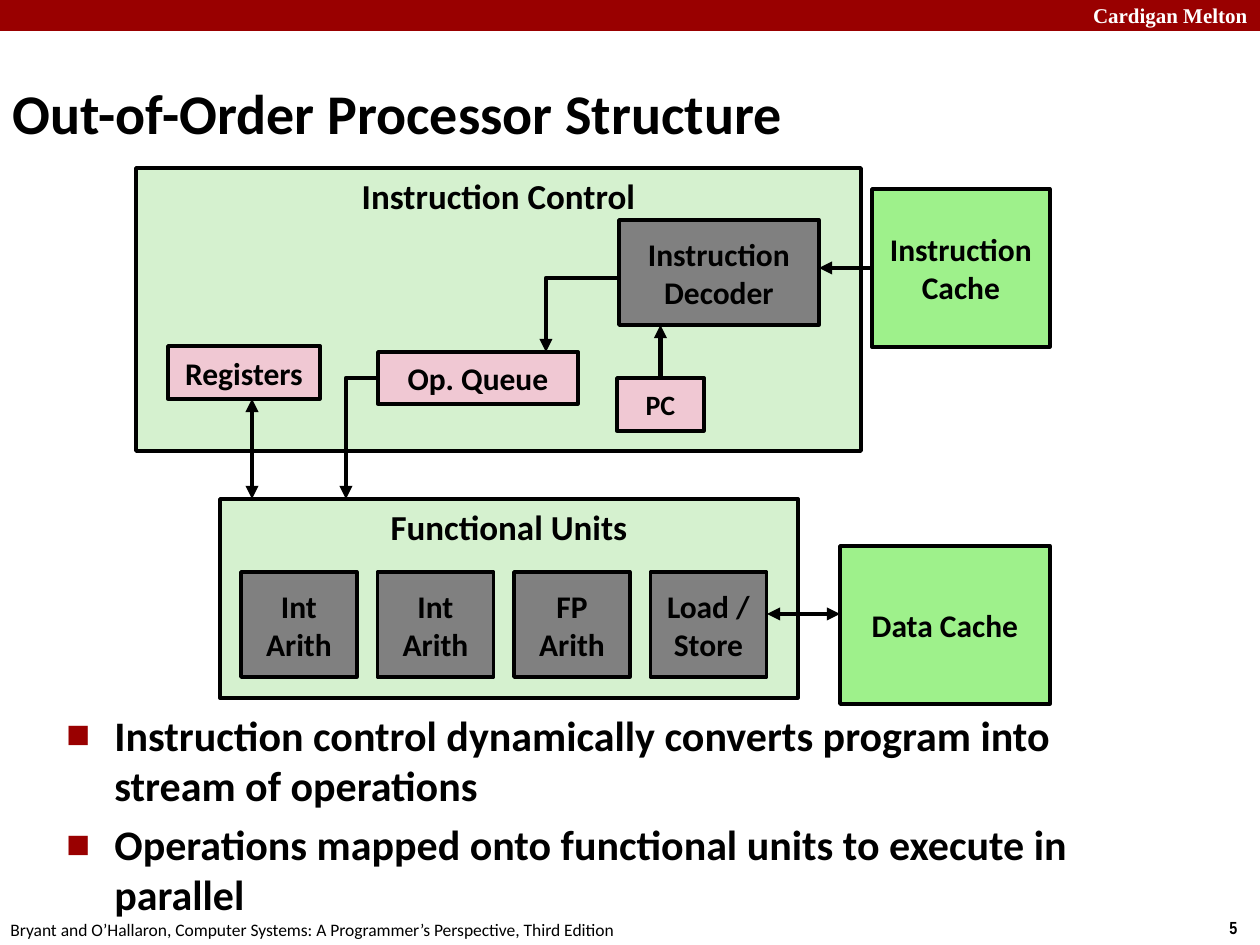
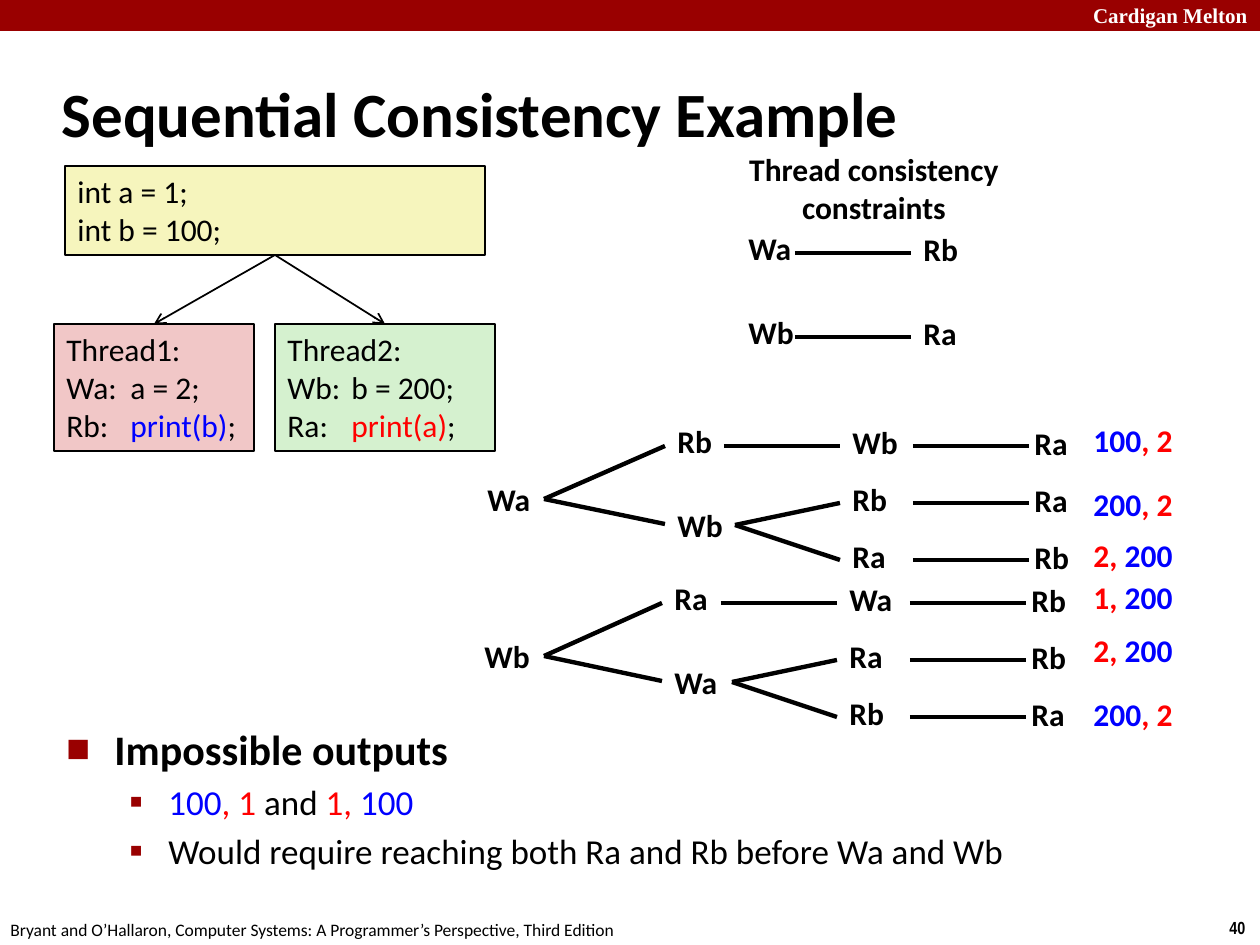
from lxml import etree
from pptx import Presentation
from pptx.dml.color import RGBColor
from pptx.enum.shapes import MSO_CONNECTOR, MSO_SHAPE
from pptx.enum.text import MSO_ANCHOR, MSO_AUTO_SIZE, PP_ALIGN
from pptx.oxml.ns import qn
from pptx.util import Emu, Pt

RECTANGLE = MSO_SHAPE.RECTANGLE
STRAIGHT, ELBOW = MSO_CONNECTOR.STRAIGHT, MSO_CONNECTOR.ELBOW
TOP, MIDDLE = MSO_ANCHOR.TOP, MSO_ANCHOR.MIDDLE
LEFT, CENTER, RIGHT = PP_ALIGN.LEFT, PP_ALIGN.CENTER, PP_ALIGN.RIGHT
SIDE_TOP, SIDE_LEFT, SIDE_BOTTOM = 0, 1, 2

EMU_PER_PX = 914400 / 126
PAGE_WIDTH, PAGE_HEIGHT = 1260, 945
TITLE_ONLY = 5
FONT = "Calibri"
COLORS = {
    "black": "000000",
    "white": "FFFFFF",
    "crimson": "990000",
    "blue": "0000FF",
    "red": "FF0000",
    "gray": "808080",
    "mint": "D5F1CF",
    "green": "9EF18B",
    "pink": "F0C8D3",
    "rose": "F1C7C7",
    "cream": "F6F5BD",
}
BULLETS = [
    {"char": "■", "percent": 60, "margin": 48, "hang": 48, "size": 24, "bold": True},
    {"char": "▪", "percent": 110, "margin": 102, "hang": 39, "size": 20, "bold": False},
]
SCHOOL = "Cardigan Melton"
BOOK = ("Bryant and O’Hallaron, Computer Systems: "
        "A Programmer’s Perspective, Third Edition")


def px(length):
    return Emu(round(length * EMU_PER_PX))


def rgb(color):
    return RGBColor.from_string(COLORS[color])


def add_xml(parent, tag, **attributes):
    return etree.SubElement(parent, qn(tag), attributes)


def write_line(para, line, size, bold=False, color="black", font=FONT, align=LEFT):
    para.alignment = align
    spans = [(line, color)] if isinstance(line, str) else line
    for text, span_color in spans:
        span = para.add_run()
        span.text = text
        span.font.name = font
        span.font.size = Pt(size)
        span.font.bold = bold
        span.font.color.rgb = rgb(span_color)


def write_lines(frame, lines, size, **style):
    for index, line in enumerate(lines):
        para = frame.add_paragraph() if index else frame.paragraphs[0]
        write_line(para, line, size, **style)


def add_label(page, bounds, lines, size=18, bold=True, wrap=True, **style):
    box = page.shapes.add_textbox(*map(px, bounds))
    box.text_frame.word_wrap = wrap
    write_lines(box.text_frame, lines, size, bold=bold, **style)
    return box


def add_block(page, bounds, fill, lines=(), size=18, bold=True, anchor=MIDDLE,
              align=CENTER, border=2):
    block = page.shapes.add_shape(RECTANGLE, *map(px, bounds))
    block.shadow.inherit = False
    block.fill.solid()
    block.fill.fore_color.rgb = rgb(fill)
    if border:
        block.line.color.rgb = rgb("black")
        block.line.width = Pt(border)
    else:
        block.line.fill.background()
    block.text_frame.word_wrap = True
    block.text_frame.vertical_anchor = anchor
    write_lines(block.text_frame, lines, size, bold=bold, align=align)
    return block


def add_link(page, start, end, head=None, tail=None, width=2.5, kind=STRAIGHT):
    link = page.shapes.add_connector(kind, *map(px, (*start, *end)))
    link.line.color.rgb = rgb("black")
    link.line.width = Pt(width)
    properties = link._element.spPr
    outline = properties.find(qn("a:ln"))
    for tag, arrow in (("a:headEnd", head), ("a:tailEnd", tail)):
        if arrow:
            add_xml(outline, tag, type=arrow)
    add_xml(properties, "a:effectLst")
    return link


def add_corner_arrow(page, start, end):
    arrow = add_link(page, start, end, tail="triangle", kind=ELBOW)
    arrow._element.spPr.find(qn("a:prstGeom")).set("prst", "bentConnector2")


def add_bullets(page, bounds, items):
    box = page.shapes.add_textbox(*map(px, bounds))
    frame = box.text_frame
    frame.word_wrap = True
    for index, (level, line) in enumerate(items):
        bullet = BULLETS[level]
        para = frame.add_paragraph() if index else frame.paragraphs[0]
        para.level = level
        write_line(para, line, bullet["size"], bold=bullet["bold"])
        para.space_before = Pt(bullet["size"] * 0.2)
        properties = para._p.get_or_add_pPr()
        properties.set("marL", str(px(bullet["margin"])))
        properties.set("indent", str(-px(bullet["hang"])))
        color = add_xml(properties, "a:buClr")
        add_xml(color, "a:srgbClr", val=COLORS["crimson"])
        add_xml(properties, "a:buSzPct", val=str(bullet["percent"] * 1000))
        add_xml(properties, "a:buFont", typeface=FONT)
        add_xml(properties, "a:buChar", char=bullet["char"])


def add_page(deck, title, title_left, title_width, title_size, number):
    page = deck.slides.add_slide(deck.slide_layouts[TITLE_ONLY])
    add_block(page, (0, 0, PAGE_WIDTH, 31), "crimson", border=0)
    add_label(page, (960, -4, 300, 38), [SCHOOL], 12, align=RIGHT,
              color="white", font="Times New Roman")
    add_label(page, (1217, 911, 43, 34), [number], 10, font="Arial Narrow")
    add_label(page, (-2, 913, 700, 32), [BOOK], 10, bold=False)

    heading = page.shapes.title
    heading.left, heading.top = px(title_left), px(60)
    heading.width, heading.height = px(title_width), px(105)
    frame = heading.text_frame
    frame.auto_size = MSO_AUTO_SIZE.NONE
    frame.vertical_anchor = MIDDLE
    write_lines(frame, [title], title_size, bold=True)
    return page


def add_processor_page(deck):
    page = add_page(deck, "Out-of-Order Processor Structure", 0, PAGE_WIDTH, 32, "5")
    add_bullets(page, (54, 703, 1090, 169), [
        (0, "Instruction control dynamically converts program into stream of operations"),
        (0, "Operations mapped onto functional units to execute in parallel"),
    ])

    add_block(page, (220, 499, 578, 199), "mint", ["Functional Units"], 20, anchor=TOP)
    units = [("Int", "Arith"), ("Int", "Arith"), ("FP", "Arith"), ("Load /", "Store")]
    for index, unit in enumerate(units):
        add_block(page, (241 + 136.5 * index, 572, 116, 105), "gray", unit)

    add_block(page, (136, 168, 725, 283), "mint", ["Instruction Control"], 20, anchor=TOP)
    add_block(page, (168, 346, 152, 53), "pink", ["Registers"])
    add_block(page, (619, 220, 200, 105), "gray", ["Instruction Decoder"])
    add_block(page, (378, 352, 200, 52), "pink", ["Op. Queue"])
    counter = add_block(page, (617, 378, 87, 53), "pink", ["PC"], 16)
    add_block(page, (840, 546, 210, 158), "green", ["Data Cache"])
    cache = add_block(page, (872, 189, 178, 158), "green", ["Instruction", "Cache"])

    add_link(page, (840, 614), (767, 614), head="triangle", tail="triangle")
    add_link(page, (252, 399), (252, 499), head="triangle", tail="triangle")
    fetch = add_link(page, (819, 268), (872, 268), head="triangle")
    fetch.end_connect(cache, SIDE_LEFT)
    address = add_link(page, (660.5, 325), (660.5, 378), head="triangle")
    address.end_connect(counter, SIDE_TOP)
    add_corner_arrow(page, (378, 378), (346, 499))
    add_corner_arrow(page, (619, 278), (546, 352))


def add_event(page, left, top, name):
    add_label(page, (left, top, 75, 50), [name])


def add_tree(page, left, top, root, upper, lower, endings):
    pitch = 57
    rows = [top + pitch * index for index in range(len(endings))]
    fork = (544, top + 53)
    lower_fork = (left + 70, top + 79)
    leaf_left = left + 175

    add_event(page, left - 190, top + 28, root)
    add_event(page, left, top - 30, upper)
    add_event(page, left, top + 54, lower)
    add_link(page, fork, (left, top))
    add_link(page, fork, (left, top + 78))
    add_link(page, (left + 59, top), (leaf_left, top))
    for row in rows[1:]:
        add_link(page, lower_fork, (leaf_left, row))
    for row, (third, last) in zip(rows, endings):
        add_event(page, leaf_left, row - 29, third)
        add_event(page, left + 357, row - 28, last)
        add_link(page, (left + 248, row), (left + 364, row))


def add_thread(page, bounds, fill, lines):
    block = add_block(page, bounds, fill, lines, bold=False, anchor=TOP,
                      align=LEFT, border=0.75)
    for para in block.text_frame.paragraphs:
        stops = add_xml(para._p.get_or_add_pPr(), "a:tabLst")
        add_xml(stops, "a:tab", pos=str(px(64)), algn="l")
    return block


def add_consistency_page(deck):
    page = add_page(deck, "Sequential Consistency Example", 49, 1046, 36, "40")
    add_bullets(page, (54, 717, 1089, 169), [
        (0, "Impossible outputs"),
        (1, [("100", "blue"), (", 1 ", "red"), ("and ", "black"),
             ("1, ", "red"), ("100", "blue")]),
        (1, "Would require reaching both Ra and Rb before Wa and Wb"),
    ])

    add_tree(page, 665, 446, "Wa", "Rb", "Wb",
             [("Wb", "Ra"), ("Rb", "Ra"), ("Ra", "Rb")])
    add_tree(page, 662, 603, "Wb", "Ra", "Wa",
             [("Wa", "Rb"), ("Ra", "Rb"), ("Rb", "Ra")])

    outputs = [
        (415, ("100", "blue"), (", 2", "red")),
        (479, ("200", "blue"), (", 2", "red")),
        (530, ("2, ", "red"), ("200", "blue")),
        (572, ("1, ", "red"), ("200", "blue")),
        (625, ("2, ", "red"), ("200", "blue")),
        (689, ("200", "blue"), (", 2", "red")),
    ]
    for top, *spans in outputs:
        add_label(page, (1081, top, 120, 50), [spans])

    add_label(page, (736, 144, 276, 89), ["Thread consistency", "constraints"],
              wrap=False, align=CENTER)
    for top, write, read in ((223, "Wa", "Rb"), (307, "Wb", "Ra")):
        add_event(page, 736, top, write)
        add_event(page, 911, top + 1, read)
        add_link(page, (795, top + 30), (911, top + 30))

    setup = add_block(page, (65, 166, 420, 89), "cream", ["int a = 1;", "int b = 100;"],
                      bold=False, anchor=TOP, align=LEFT, border=0.75)
    threads = [
        add_thread(page, (54, 324, 200, 127), "rose", [
            "Thread1:", "Wa:\ta = 2;",
            [("Rb:\t", "black"), ("print(b)", "blue"), (";", "black")]]),
        add_thread(page, (275, 324, 220, 127), "mint", [
            "Thread2:", "Wb:\tb = 200;",
            [("Ra:\t", "black"), ("print(a)", "red"), (";", "black")]]),
    ]
    for thread in threads:
        arrow = add_link(page, (275, 255), (275, 324), tail="arrow", width=1)
        arrow.begin_connect(setup, SIDE_BOTTOM)
        arrow.end_connect(thread, SIDE_TOP)


def main():
    deck = Presentation()
    deck.slide_width, deck.slide_height = px(PAGE_WIDTH), px(PAGE_HEIGHT)
    add_processor_page(deck)
    add_consistency_page(deck)
    deck.save("out.pptx")


if __name__ == "__main__":
    main()
